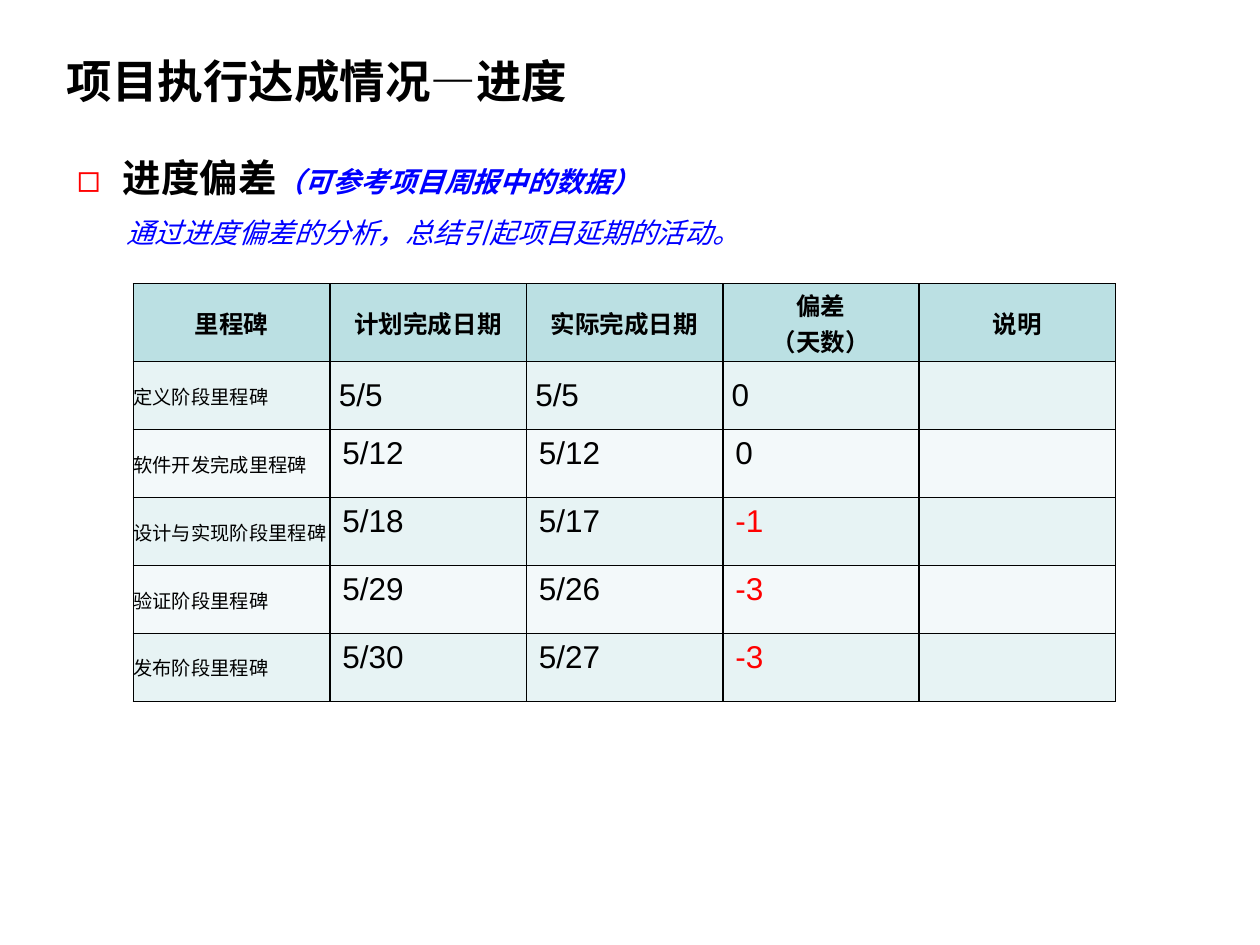
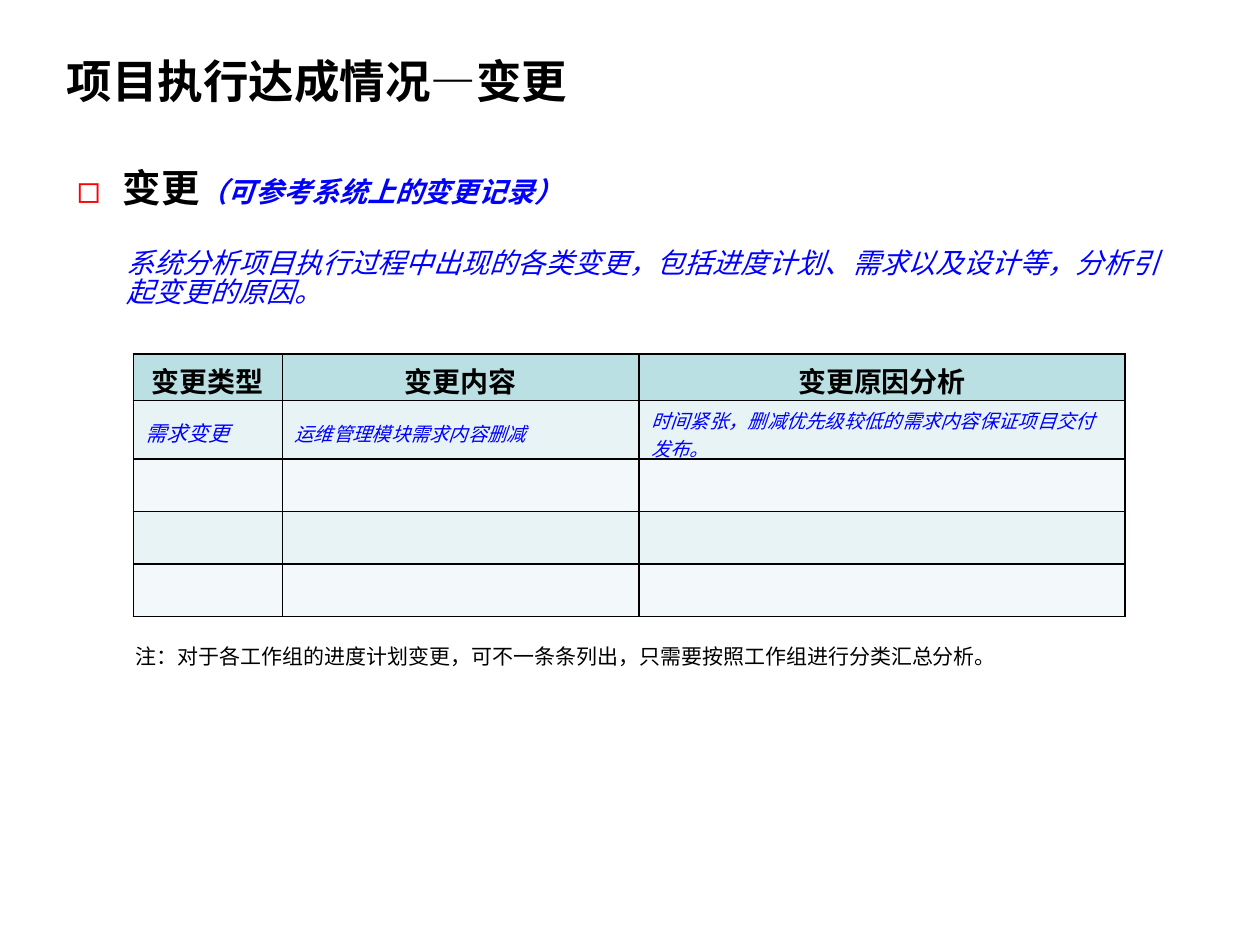
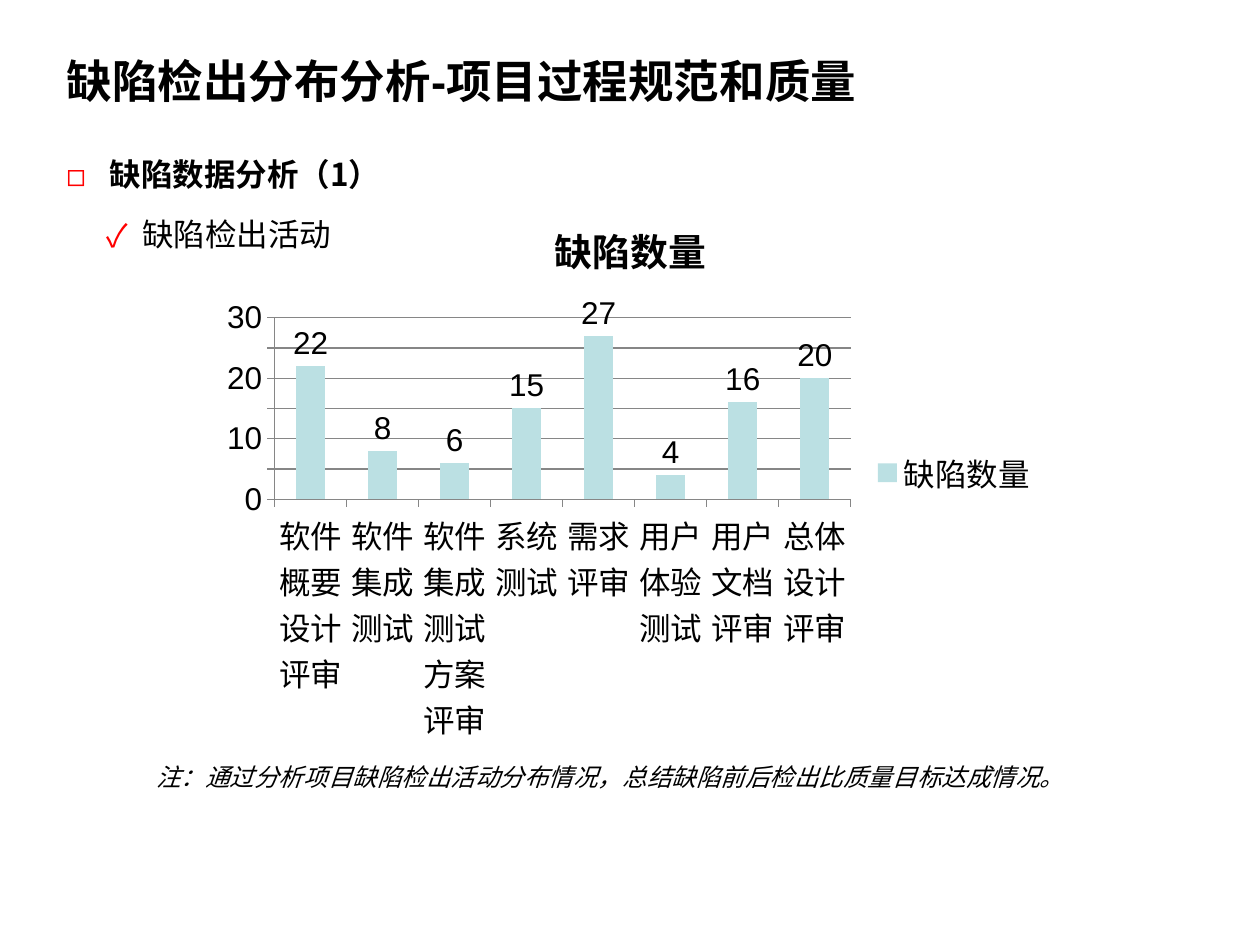
from pptx import Presentation
from pptx.chart.data import CategoryChartData as ChartData
from pptx.dml.color import RGBColor as RGB
from pptx.enum.chart import XL_CHART_TYPE as Kind, XL_LEGEND_POSITION as LegPos
from pptx.enum.chart import XL_LABEL_POSITION as LabPos, XL_TICK_MARK as Tick
from pptx.enum.text import MSO_ANCHOR as Anchor, PP_ALIGN as Align
from pptx.oxml.ns import qn
from pptx.util import Cm, Pt
from lxml.etree import SubElement as Sub

BLACK = RGB(0x00, 0x00, 0x00)
RED = RGB(0xFF, 0x00, 0x00)
BLUE = RGB(0x00, 0x00, 0xFF)
GREY = RGB(0x86, 0x86, 0x86)
TEAL = RGB(0xBB, 0xE0, 0xE3)
BANDS = RGB(0xE7, 0xF3, 0xF4), RGB(0xF3, 0xF9, 0xFA)
LATIN, HAN = "Arial", "Noto Sans CJK SC"
BOX, CHECK = "◻", "✓"


def set_font(font, size, color=BLACK, bold=False, italic=False, name=HAN):
    font.size, font.bold, font.italic = Pt(size), bold, italic
    font.name = name
    font.color.rgb = color


def set_han(props):
    """Name the East Asian font next to the Latin one."""
    props.find(qn("a:latin")).addnext(props.makeelement(qn("a:ea"), typeface=HAN))


class Deck:
    def __init__(self):
        self.prs = Presentation()
        self.prs.slide_width, self.prs.slide_height = Cm(25.4), Cm(19.05)
        self.slide = None

    def run(self, para, text, size, **style):
        run = para.add_run()
        run.text = text
        set_font(run.font, size, **style)
        set_han(run.font._element)

    def page(self, title):
        self.slide = self.prs.slides.add_slide(self.prs.slide_layouts[5])
        shape = self.slide.shapes.title
        shape.left, shape.top = Cm(1.09), Cm(0.91)
        shape.width, shape.height = Cm(19), Cm(1.4)
        frame = shape.text_frame
        frame.vertical_anchor = Anchor.MIDDLE
        para = frame.paragraphs[0]
        para.alignment = Align.LEFT
        self.run(para, title, 26, bold=True, name=LATIN)

    def text(self, left, top, width, height, *runs, mark=None, hang=0):
        """Each run is (text, size, style)."""
        box = self.slide.shapes.add_textbox(Cm(left), Cm(top), Cm(width), Cm(height))
        box.text_frame.word_wrap = True
        para = box.text_frame.paragraphs[0]
        para.line_spacing = 0.85
        if mark:
            self.bullet(para, mark, hang)
        for words, size, style in runs:
            self.run(para, words, size, **style)

    def bullet(self, para, mark, hang):
        props = para._p.get_or_add_pPr()
        props.set("marL", str(Cm(hang)))
        props.set("indent", str(-Cm(hang)))
        Sub(Sub(props, qn("a:buClr")), qn("a:srgbClr"), val=str(RED))
        Sub(props, qn("a:buFont"), typeface=HAN)
        Sub(props, qn("a:buChar"), char=mark)

    def table(self, left, top, cols, rows):
        shape = self.slide.shapes.add_table(
            len(rows), len(cols), Cm(left), Cm(top), Cm(sum(cols)), Cm(sum(rows)))
        grid = shape.table
        for col, width in zip(grid.columns, cols):
            col.width = Cm(width)
        for i, (row, height) in enumerate(zip(grid.rows, rows)):
            row.height = Cm(height)
            for cell in row.cells:
                self.border(cell)
                cell.fill.solid()
                cell.fill.fore_color.rgb = BANDS[(i - 1) % 2] if i else TEAL
        return grid

    def border(self, cell):
        props = cell._tc.get_or_add_tcPr()
        for side in ("lnL", "lnR", "lnT", "lnB"):
            line = Sub(props, qn("a:" + side), w=str(Pt(1)))
            Sub(Sub(line, qn("a:solidFill")), qn("a:srgbClr"), val=str(BLACK))

    def cell(self, cell, words, size, inset=None, middle=True, center=False, **style):
        """inset is (side, top, bottom) in cm."""
        if inset:
            side, over, under = inset
            cell.margin_left = cell.margin_right = Cm(side)
            cell.margin_top, cell.margin_bottom = Cm(over), Cm(under)
        cell.vertical_anchor = Anchor.MIDDLE if middle else Anchor.TOP
        frame = cell.text_frame
        for i, line in enumerate(words.split("\n")):
            para = frame.add_paragraph() if i else frame.paragraphs[0]
            para.alignment = Align.CENTER if center else Align.LEFT
            self.run(para, line, size, **style)

    def chart(self, left, top, width, height, name, points):
        data = ChartData()
        data.categories = list(points)
        data.add_series(name, points.values())
        chart = self.slide.shapes.add_chart(
            Kind.COLUMN_CLUSTERED, Cm(left), Cm(top), Cm(width), Cm(height), data).chart
        set_font(chart.font, 18, name=LATIN)
        set_han(chart.font._element)

        # Title and legend
        chart.has_title = True
        para = chart.chart_title.text_frame.paragraphs[0]
        self.run(para, name, 21.6, bold=True, name=LATIN)
        chart.has_legend = True
        chart.legend.position = LegPos.RIGHT
        chart.legend.include_in_layout = False

        # Axes
        for axis in (chart.category_axis, chart.value_axis):
            axis.major_tick_mark, axis.minor_tick_mark = Tick.OUTSIDE, Tick.NONE
            axis.format.line.color.rgb = GREY
        chart.value_axis.has_major_gridlines = True
        chart.value_axis.major_gridlines.format.line.color.rgb = GREY

        # Columns and their labels
        plot = chart.plots[0]
        plot.gap_width, plot.vary_by_categories = 150, False
        fill = plot.series[0].format.fill
        fill.solid()
        fill.fore_color.rgb = TEAL
        plot.has_data_labels = True
        plot.data_labels.show_value = True
        plot.data_labels.position = LabPos.OUTSIDE_END


HEAD = dict(bold=True)
HINT = dict(bold=True, italic=True, color=BLUE)
NOTE = dict(italic=True, color=BLUE)
deck = Deck()

# Schedule
deck.page("项目执行达成情况—进度")
deck.text(1.3, 3.12, 16.79, 1.19, ("进度偏差", 22, HEAD),
          ("（可参考项目周报中的数据）", 16, HINT), mark=BOX, hang=0.93)
deck.text(2.31, 4.32, 18.59, 0.94,
          ("通过进度偏差的分析，总结引起项目延期的活动。", 16, NOTE))
stages = [
    ("定义阶段里程碑", "5/5", "5/5", "0"),
    ("软件开发完成里程碑", "5/12", "5/12", "0"),
    ("设计与实现阶段里程碑", "5/18", "5/17", "-1"),
    ("验证阶段里程碑", "5/29", "5/26", "-3"),
    ("发布阶段里程碑", "5/30", "5/27", "-3"),
]
grid = deck.table(2.69, 5.72, [3.96] * 5, [1.57] + [1.37] * 5)
slim = (0.18, 0, 0)
heads = "里程碑", "计划完成日期", "实际完成日期", "偏差\n（天数）", "说明"
for c, head in enumerate(heads):
    deck.cell(grid.cell(0, c), head, 14, inset=slim, center=True, bold=True)
for r, (stage, *dates) in enumerate(stages, 1):
    deck.cell(grid.cell(r, 0), stage, 11, inset=(0, 0, 0))
    first = r == 1
    for c, value in enumerate(dates, 1):
        deck.cell(grid.cell(r, c), value, 18, inset=slim if first else None,
                  middle=first, name=LATIN,
                  color=RED if value.startswith("-") else BLACK)

# Changes
deck.page("项目执行达成情况—变更")
deck.text(1.3, 3.33, 16.79, 1.19, ("变更", 22, HEAD),
          ("（可参考系统上的变更记录）", 16, HINT), mark=BOX, hang=0.93)
deck.text(2.31, 4.93, 21.41, 1.63,
          ("系统分析项目执行过程中出现的各类变更，包括进度计划、需求以及设计等，"
           "分析引起变更的原因。", 16, NOTE))
grid = deck.table(2.69, 7.14, [3, 7.19, 9.8], [0.93, 1.18] + [1.06] * 3)
tight = (0.25, 0.12, 0)
change = [
    ("变更类型", "需求变更", 12),
    ("变更内容", "运维管理模块需求内容删减", 11),
    ("变更原因分析", "时间紧张，删减优先级较低的需求内容保证项目交付发布。", 11),
]
for c, (head, words, size) in enumerate(change):
    deck.cell(grid.cell(0, c), head, 16, inset=tight, center=True,
              bold=True, name=LATIN)
    deck.cell(grid.cell(1, c), words, size, inset=tight, name=LATIN, **NOTE)
deck.text(2.49, 12.93, 18.8, 0.76,
          ("注：对于各工作组的进度计划变更，可不一条条列出，"
           "只需要按照工作组进行分类汇总分析。", 12, {}))

# Defects
deck.page("缺陷检出分布分析-项目过程规范和质量")
deck.text(1.09, 3.12, 22.4, 1.7, ("缺陷数据分析（1）", 18, HEAD), mark=BOX, hang=0.87)
deck.text(1.9, 4.32, 23.09, 1.8, ("缺陷检出活动", 18, {}), mark=CHECK, hang=0.72)
deck.text(2.9, 15.32, 19.99, 0.86,
          ("注：通过分析项目缺陷检出活动分布情况，总结缺陷前后检出比质量目标达成情况。",
           14, dict(italic=True)))
deck.chart(4.24, 3.89, 16.94, 11.28, "缺陷数量", {
    "软件概要设计评审": 22, "软件集成测试": 8, "软件集成测试方案评审": 6,
    "系统测试": 15, "需求评审": 27, "用户体验测试": 4,
    "用户文档评审": 16, "总体设计评审": 20,
})

deck.prs.save("out.pptx")
